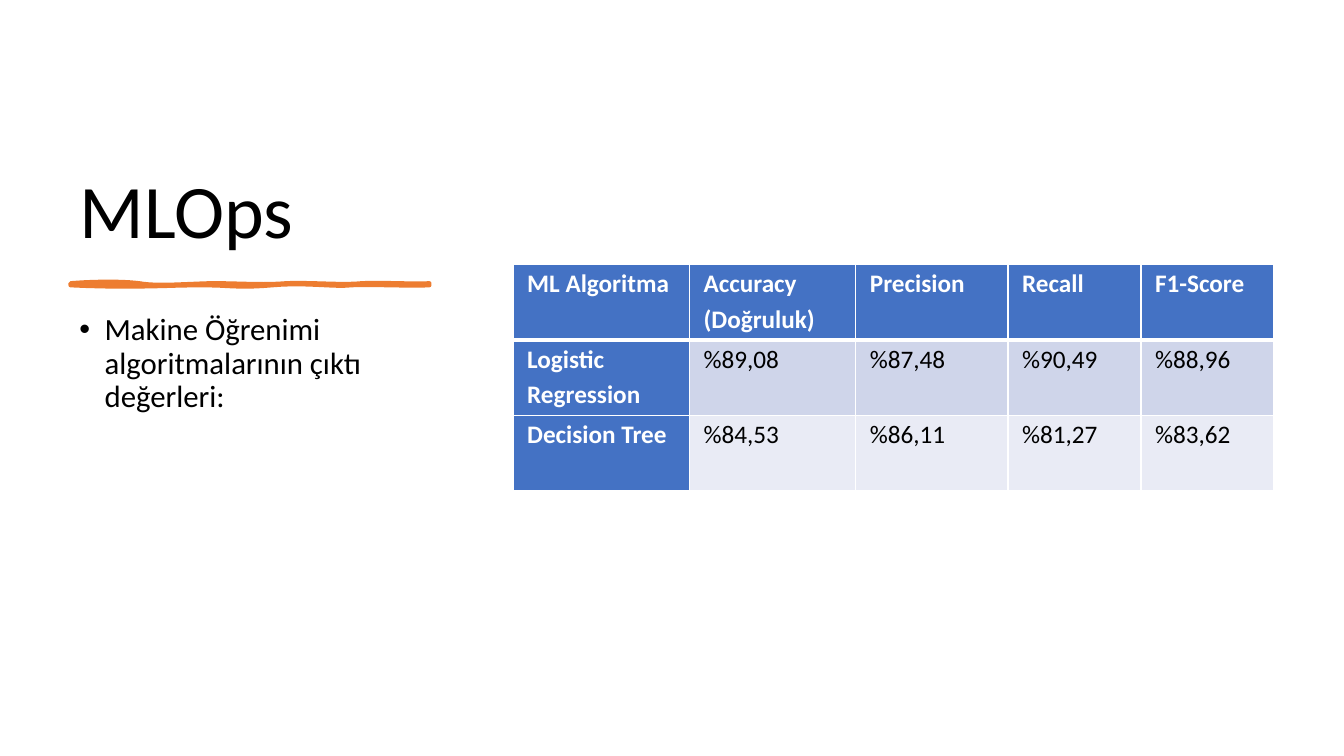
from dataclasses import dataclass

from lxml import etree
from pptx import Presentation
from pptx import util as u
from pptx.dml.color import RGBColor
from pptx.enum import text
from pptx.oxml import ns

CELL = u.Inches(0.1)
COLUMNS, ROWS = 133.33, 75
FONT = "Calibri"
BLACK, WHITE, BLUE, ORANGE = "000000", "FFFFFF", "4472C4", "ED7D31"
COLUMN_SPANS = (17.5, 16.5, 15.1, 13.2, 13.2)
ROW_SPAN = 7.5
CURVE_STEPS = 12


@dataclass(frozen=True)
class Area:
    column: float
    row: float
    columns: float
    rows: float

    def place(self) -> tuple[int, int, int, int]:
        return grid(self.column), grid(self.row), grid(self.columns), grid(self.rows)


@dataclass(frozen=True)
class ScoreRow:
    labels: tuple[str, ...]
    fill: str
    heading: bool = False


@dataclass(frozen=True)
class Style:
    size: float
    color: str = BLACK
    bold: bool = False


TITLE_AREA = Area(6.9, 7, 37.5, 18.8)
BODY_AREA = Area(6.9, 30.7, 37.5, 37.3)
TABLE_AREA = Area(50.9, 26.2, sum(COLUMN_SPANS), 3 * ROW_SPAN)

SCORES = (
    ScoreRow(("ML Algoritma", "Accuracy (Doğruluk)", "Precision", "Recall", "F1-Score"), BLUE, True),
    ScoreRow(("Logistic Regression", "%89,08", "%87,48", "%90,49", "%88,96"), "CFD5EA"),
    ScoreRow(("Decision Tree", "%84,53", "%86,11", "%81,27", "%83,62"), "E9EBF5"),
)

STROKE_START = (7, 28.1)
STROKE_CURVES = (
    ((9.7, 27.9), (12.1, 27.9), (13.8, 28.1)),
    ((15.5, 28.4), (17.7, 28.2), (20.9, 28.1)),
    ((24.1, 28.1), (26, 28.3), (28.4, 28.1)),
    ((30.8, 28), (33.9, 28.3), (35.9, 28.1)),
    ((37.9, 28), (41.2, 28.2), (42.6, 28.1)),
    ((42.6, 28.2), (42.6, 28.3), (42.6, 28.3)),
    ((40.8, 28.4), (36.4, 28.2), (34.8, 28.3)),
    ((33.2, 28.5), (30.4, 28), (27, 28.3)),
    ((23.5, 28.6), (23.1, 28.3), (19.9, 28.3)),
    ((16.6, 28.3), (13.2, 28.6), (7, 28.3)),
)


def grid(cells: float) -> int:
    return round(cells * CELL)


def paint(target, color: str) -> None:
    target.solid()
    target.fore_color.rgb = RGBColor.from_string(color)


def add_span(para, words: str, style: Style) -> None:
    span = para.add_run()
    span.text = words
    span.font.name = FONT
    span.font.size = u.Pt(style.size)
    span.font.bold = style.bold
    paint(span.font.fill, style.color)


def add_title(page) -> None:
    box = page.shapes.title
    box.left, box.top, box.width, box.height = TITLE_AREA.place()
    box.text_frame.vertical_anchor = text.MSO_ANCHOR.BOTTOM
    para = box.text_frame.paragraphs[0]
    para.alignment = text.PP_ALIGN.LEFT
    para.line_spacing = 0.9
    add_span(para, "MLOps", Style(54))


def add_stroke(page) -> None:
    points = []
    start = STROKE_START
    for first, second, end in STROKE_CURVES:
        for step in range(1, CURVE_STEPS + 1):
            t = step / CURVE_STEPS
            weights = ((1 - t) ** 3, 3 * t * (1 - t) ** 2, 3 * t * t * (1 - t), t**3)
            corners = (start, first, second, end)
            points.append(tuple(grid(sum(w * c[axis] for w, c in zip(weights, corners))) for axis in (0, 1)))
        start = end
    builder = page.shapes.build_freeform(*map(grid, STROKE_START))
    builder.add_line_segments(points, close=True)
    stroke = builder.convert_to_shape()
    stroke.shadow.inherit = False
    paint(stroke.fill, ORANGE)
    paint(stroke.line.fill, ORANGE)
    stroke.line.width = u.Pt(3)


def add_body(page) -> None:
    box = page.shapes.add_textbox(*BODY_AREA.place())
    box.text_frame.word_wrap = True
    para = box.text_frame.paragraphs[0]
    para.line_spacing = 0.9
    para.space_before = u.Pt(10)
    properties = para._p.get_or_add_pPr()
    properties.set("marL", str(grid(2.5)))
    properties.set("indent", str(-grid(2.5)))
    etree.SubElement(properties, ns.qn("a:buFont")).set("typeface", "Arial")
    etree.SubElement(properties, ns.qn("a:buChar")).set("char", "•")
    add_span(para, "Makine Öğrenimi algoritmalarının çıktı değerleri:", Style(22))


def add_borders(cell, widths: dict[str, float]) -> None:
    properties = cell._tc.get_or_add_tcPr()
    for side, width in widths.items():
        line = etree.SubElement(properties, ns.qn(f"a:ln{side}"), w=str(u.Pt(width)))
        fill = etree.SubElement(line, ns.qn("a:solidFill"))
        etree.SubElement(fill, ns.qn("a:srgbClr"), val=WHITE)


def add_scores(page) -> None:
    table = page.shapes.add_table(len(SCORES), len(COLUMN_SPANS), *TABLE_AREA.place()).table
    table.first_row = table.horz_banding = False
    for column, span in zip(table.columns, COLUMN_SPANS):
        column.width = grid(span)
    for row_index, score in enumerate(SCORES):
        table.rows[row_index].height = grid(ROW_SPAN)
        top = 3 if row_index == 1 else 1
        bottom = 3 if score.heading else 1
        for column_index, label in enumerate(score.labels):
            cell = table.cell(row_index, column_index)
            strong = score.heading or column_index == 0
            cell.margin_left = cell.margin_right = grid(1.4)
            cell.margin_top = cell.margin_bottom = 0
            add_borders(cell, {"L": 1, "R": 1, "T": top, "B": bottom})
            paint(cell.fill, BLUE if strong else score.fill)
            para = cell.text_frame.paragraphs[0]
            wraps = strong and not score.heading and row_index == 1
            para.alignment = text.PP_ALIGN.LEFT if wraps else text.PP_ALIGN.JUSTIFY
            para.line_spacing = 1.15
            para.space_before = para.space_after = u.Pt(6)
            add_span(para, label, Style(18, WHITE if strong else BLACK, strong))


def main() -> None:
    deck = Presentation()
    deck.slide_width, deck.slide_height = grid(COLUMNS), grid(ROWS)
    page = deck.slides.add_slide(deck.slide_layouts[5])
    paint(page.background.fill, WHITE)
    add_title(page)
    add_stroke(page)
    add_body(page)
    add_scores(page)
    deck.save("out.pptx")


if __name__ == "__main__":
    main()
